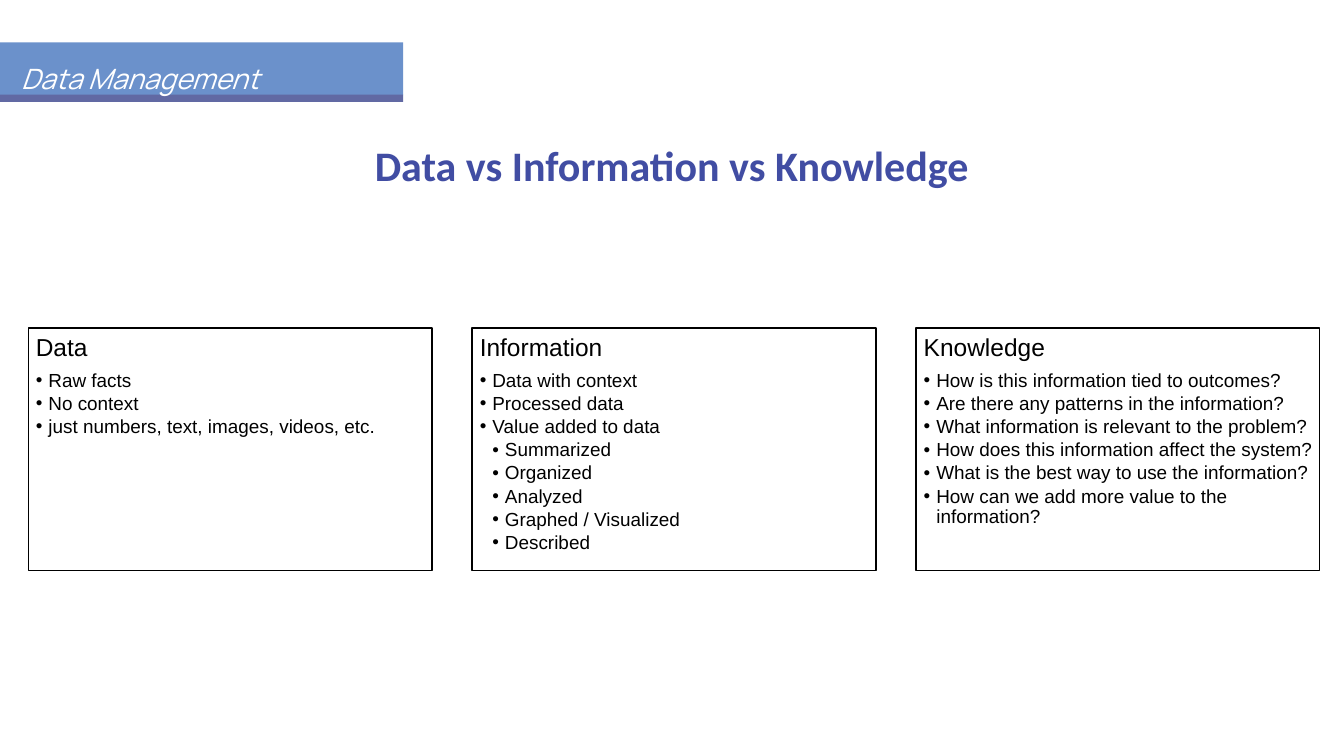
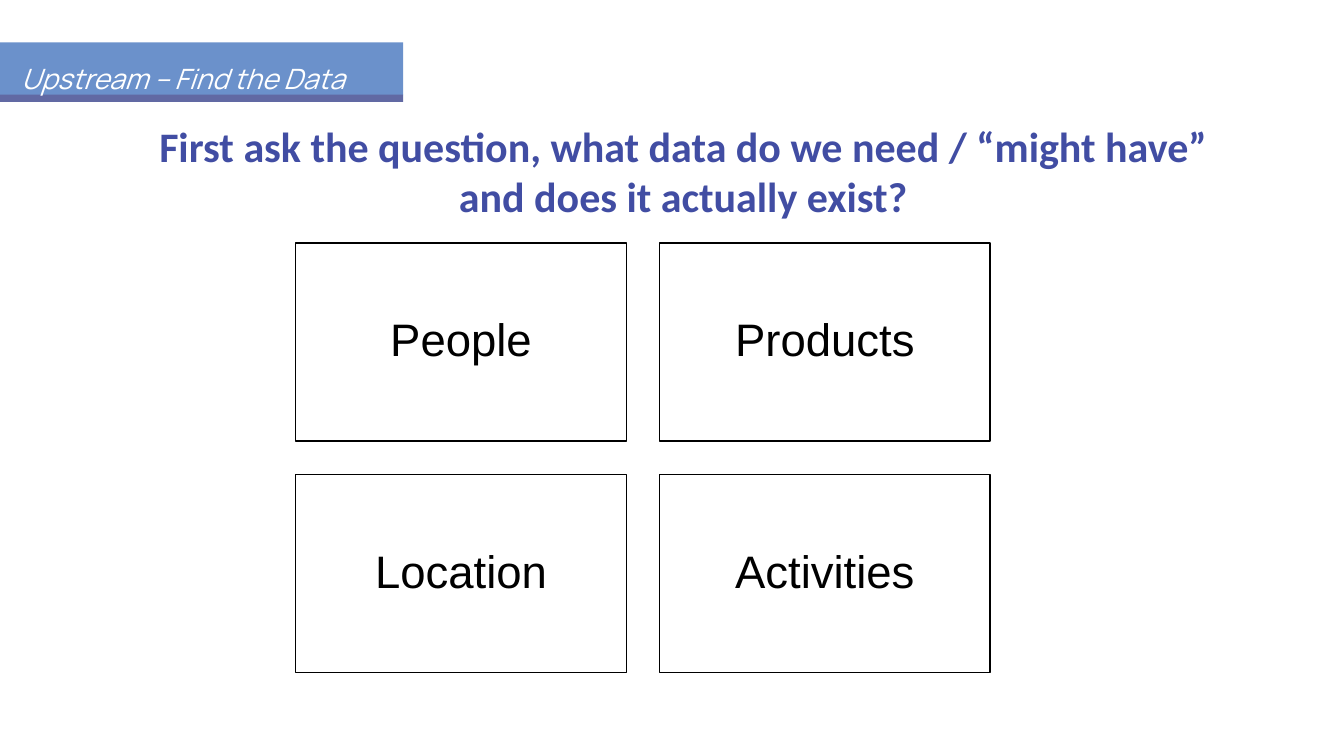
from lxml import etree
from pptx import Presentation
from pptx.dml.color import RGBColor
from pptx.enum.shapes import MSO_SHAPE
from pptx.enum.text import MSO_ANCHOR, MSO_AUTO_SIZE, PP_ALIGN
from pptx.oxml.ns import qn
from pptx.util import Pt

PX = 9144  # EMU per px, 100 px to the inch
SLIDE_SIZE = (2667, 1500)
TITLE_ONLY = 5
RECTANGLE = MSO_SHAPE.RECTANGLE
TOP, MIDDLE, BOTTOM = MSO_ANCHOR.TOP, MSO_ANCHOR.MIDDLE, MSO_ANCHOR.BOTTOM
LEFT, CENTER = PP_ALIGN.LEFT, PP_ALIGN.CENTER
NO_AUTOFIT = MSO_AUTO_SIZE.NONE

COLORS = {
    "title": "414DA3",
    "band": "6B91CB",
    "stripe": "6169A3",
    "white": "FFFFFF",
    "black": "000000",
}
FONTS = {
    "title": {"name": "Calibri", "size": Pt(60), "bold": True, "color": "title"},
    "band": {"name": "Manrope", "size": Pt(40), "italic": True, "color": "white"},
    "heading": {"name": "Arial", "size": Pt(35), "color": "black"},
    "bullet": {"name": "Arial", "size": Pt(27), "color": "black"},
    "tile": {"name": "Arial", "size": Pt(65), "color": "black"},
}

# Card heading, then bullets as (level, text)
CARDS = [
    ("Data", [
        (1, "Raw facts"),
        (1, "No context"),
        (1, "just numbers, text, images, videos, etc."),
    ]),
    ("Information", [
        (1, "Data with context"),
        (1, "Processed data"),
        (1, "Value added to data"),
        (2, "Summarized"),
        (2, "Organized"),
        (2, "Analyzed"),
        (2, "Graphed / Visualized"),
        (2, "Described"),
    ]),
    ("Knowledge", [
        (1, "How is this information tied to outcomes?"),
        (1, "Are there any patterns in the information?"),
        (1, "What information is relevant to the problem?"),
        (1, "How does this information affect the system?"),
        (1, "What is the best way to use the information?"),
        (1, "How can we add more value to the information?"),
    ]),
]
TILES = ["People", "Products", "Location", "Activities"]


def emu(box):
    return [value * PX for value in box]


def color(name):
    return RGBColor.from_string(COLORS[name])


def set_frame(frame, anchor, inset):
    frame.word_wrap = True
    frame.auto_size = NO_AUTOFIT
    frame.vertical_anchor = anchor
    for side in ("left", "top", "right", "bottom"):
        setattr(frame, f"margin_{side}", inset * PX)


def write(paragraph, text, style, **paragraph_format):
    for name, value in paragraph_format.items():
        setattr(paragraph, name, value)
    run = paragraph.add_run()
    run.text = text
    for name, value in FONTS[style].items():
        if name == "color":
            run.font.color.rgb = color(value)
        else:
            setattr(run.font, name, value)


def add_bullet(paragraph, level, indent=25):
    paragraph.level = level
    properties = paragraph._p.get_or_add_pPr()
    properties.set("marL", str(level * indent * PX))
    properties.set("indent", str(-indent * PX))
    bullet_color = etree.SubElement(properties, qn("a:buClr"))
    etree.SubElement(bullet_color, qn("a:srgbClr"), val=COLORS["black"])
    etree.SubElement(properties, qn("a:buFont"), typeface="Arial")
    etree.SubElement(properties, qn("a:buChar"), char="•")


def add_rectangle(slide, box, fill, line=None):
    shape = slide.shapes.add_shape(RECTANGLE, *emu(box))
    shape.shadow.inherit = False
    shape.fill.solid()
    shape.fill.fore_color.rgb = color(fill)
    if line:
        shape.line.color.rgb = color(line)
        shape.line.width = Pt(2)
    else:
        shape.line.fill.background()
    return shape


def add_title(slide, box, text):
    title = slide.shapes.title
    title.left, title.top, title.width, title.height = emu(box)
    set_frame(title.text_frame, BOTTOM, 10)
    write(title.text_frame.paragraphs[0], text, "title", alignment=CENTER)


def add_band(slide, box, text, label_width):
    left, top, width, height = box
    add_rectangle(slide, box, "band")
    add_rectangle(slide, (left, top + height - 1, width, 14), "stripe")
    label = slide.shapes.add_textbox(*emu((left + 36, top + 6, label_width, 84)))
    set_frame(label.text_frame, MIDDLE, 6)
    write(label.text_frame.paragraphs[0], text, "band", line_spacing=1.73)


def add_card(slide, box, heading, bullets):
    frame = add_rectangle(slide, box, "white", "black").text_frame
    set_frame(frame, TOP, 15)
    write(frame.paragraphs[0], heading, "heading", alignment=LEFT, line_spacing=0.9)
    for index, (level, text) in enumerate(bullets):
        paragraph = frame.add_paragraph()
        add_bullet(paragraph, level)
        write(paragraph, text, "bullet", alignment=LEFT, line_spacing=0.9,
              space_before=Pt(4 if index else 12.2))


def add_tile(slide, box, text):
    frame = add_rectangle(slide, box, "white", "black").text_frame
    set_frame(frame, MIDDLE, 27)
    write(frame.paragraphs[0], text, "tile", alignment=CENTER, line_spacing=0.9)


def add_slide(presentation, title, title_box, band_text, label_width):
    slide = presentation.slides.add_slide(presentation.slide_layouts[TITLE_ONLY])
    add_title(slide, title_box, title)
    add_band(slide, (0, 84, 800, 105), band_text, label_width)
    return slide


def add_card_row(slide, box, gap):
    left, top, width, height = box
    card_width = (width - gap * (len(CARDS) - 1)) // len(CARDS)
    for index, (heading, bullets) in enumerate(CARDS):
        card_left = left + index * (card_width + gap)
        add_card(slide, (card_left, top, card_width, height), heading, bullets)


def add_tile_grid(slide, box, gap, columns=2):
    left, top, width, height = box
    rows = len(TILES) // columns
    tile_width = (width - gap * (columns - 1)) // columns
    tile_height = (height - gap * (rows - 1)) // rows
    for index, text in enumerate(TILES):
        row, column = divmod(index, columns)
        add_tile(slide, (left + column * (tile_width + gap),
                         top + row * (tile_height + gap),
                         tile_width, tile_height), text)


def main():
    presentation = Presentation()
    presentation.slide_width, presentation.slide_height = emu(SLIDE_SIZE)

    # Three definitions side by side
    slide = add_slide(presentation, "Data vs Information vs Knowledge",
                      (614, 231, 1438, 156), "Data Management", 728)
    add_card_row(slide, (56, 651, 2563, 481), gap=80)

    # Kinds of data to look for
    slide = add_slide(
        presentation,
        "First ask the question, what data do we need / “might have” "
        "and does it actually exist?",
        (255, 293, 2202, 156), "Upstream – Find the Data", 964)
    add_tile_grid(slide, (587, 482, 1378, 852), gap=66)

    presentation.save("out.pptx")


if __name__ == "__main__":
    main()
